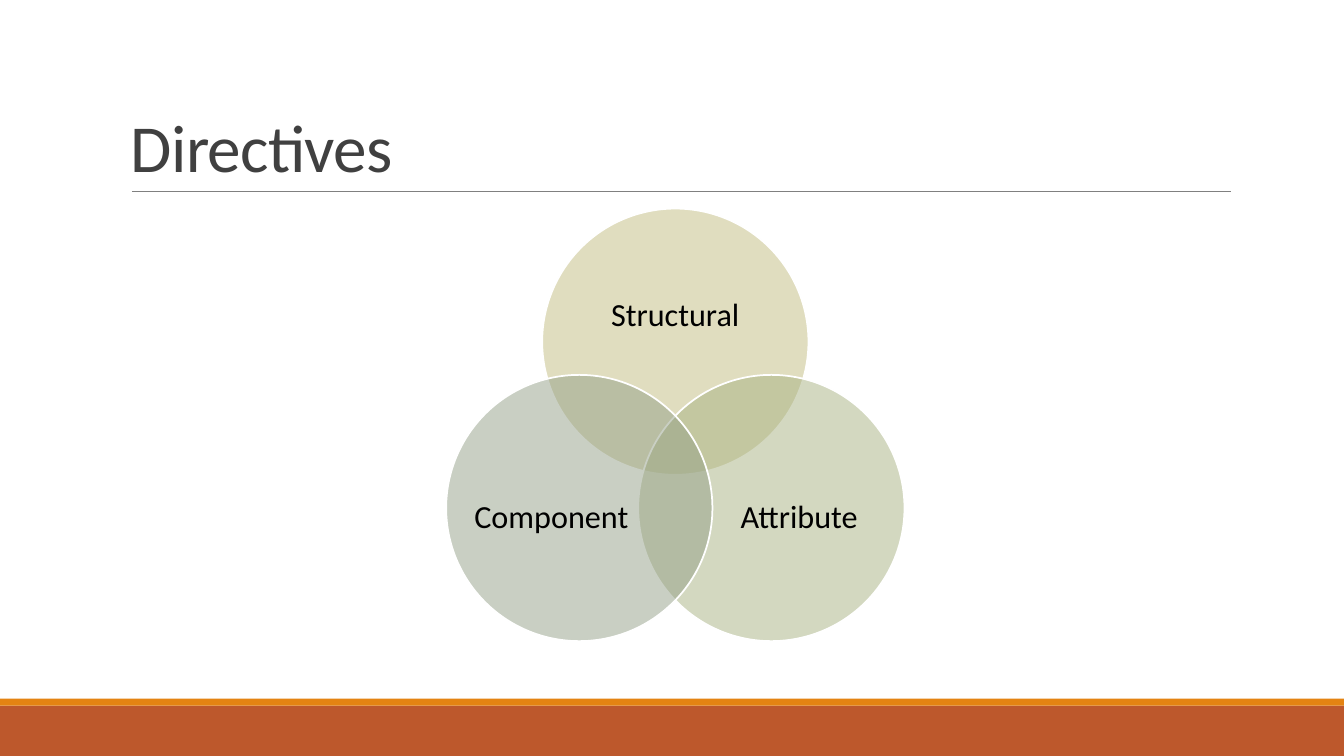
from dataclasses import dataclass
from math import cos, radians, sin

from lxml.etree import SubElement as sub_el
from pptx import Presentation
from pptx.dml.color import RGBColor as Rgb
from pptx.enum.shapes import MSO_CONNECTOR as Conn, MSO_SHAPE as Kind
from pptx.enum.text import MSO_ANCHOR as Anchor, PP_ALIGN as Align
from pptx.oxml.ns import qn
from pptx.shapes.autoshape import Shape
from pptx.slide import Slide
from pptx.util import Pt

WIDE, HIGH = 960, 540
FONT = "Calibri"

# Venn layout: circle centres sit on a ring around the middle
MID_X, MID_Y = 482.4, 323.3
RING = 79.2
SIZE = 190.2


@dataclass
class Box:
    left: float
    top: float
    width: float
    height: float


@dataclass
class Set:
    name: str
    angle: float
    fill: str
    label: Box


@dataclass
class Band:
    box: Box
    fill: str


BANDS = [
    Band(Box(0, 504, WIDE, 36), "BD582C"),
    Band(Box(0, 499, WIDE, 5), "E48312"),
]

SETS = [
    Set("Structural", -90, "C2BC80", Box(412.6, 182.9, 139.6, 85.6)),
    Set("Attribute", 30, "A8B283", Box(514, 317.5, 113.8, 104.4)),
    Set("Component", 150, "94A088", Box(337, 317.5, 113.8, 104.4)),
]


def color(code: str) -> Rgb:
    return Rgb.from_string(code)


def place(box: Box) -> tuple[Pt, Pt, Pt, Pt]:
    return Pt(box.left), Pt(box.top), Pt(box.width), Pt(box.height)


def add_fill(slide: Slide, kind: Kind, box: Box, fill: str) -> Shape:
    shape = slide.shapes.add_shape(kind, *place(box))
    shape.shadow.inherit = False
    shape.fill.solid()
    shape.fill.fore_color.rgb = color(fill)
    shape.line.fill.background()
    return shape


def add_text(slide: Slide, box: Box, text: str, size: float, ink: str,
             anchor: Anchor, align: Align, lead: float) -> Shape:
    shape = slide.shapes.add_textbox(*place(box))
    frame = shape.text_frame
    frame.word_wrap = True
    frame.vertical_anchor = anchor
    frame.text = text
    para = frame.paragraphs[0]
    para.alignment = align
    para.line_spacing = lead
    font = para.runs[0].font
    font.name = FONT
    font.size = Pt(size)
    font.color.rgb = color(ink)
    return shape


def add_title(slide: Slide) -> None:
    title = add_text(slide, Box(86.4, 22.3, 792, 114.5), "Directives", 48,
                     "404040", Anchor.BOTTOM, Align.LEFT, 0.85)
    run = title.text_frame.paragraphs[0].runs[0]
    run.font._element.set("spc", "-50")


def add_rule(slide: Slide) -> None:
    rule = slide.shapes.add_connector(
        Conn.STRAIGHT, Pt(94.3), Pt(136.8), Pt(879), Pt(136.8))
    rule.line.color.rgb = color("808080")
    rule.line.width = Pt(0.5)
    sub_el(rule._element.spPr, qn("a:effectLst"))


def add_set(slide: Slide, item: Set) -> None:
    turn = radians(item.angle)
    left = MID_X + RING * cos(turn) - SIZE / 2
    top = MID_Y + RING * sin(turn) - SIZE / 2
    disc = add_fill(slide, Kind.OVAL, Box(left, top, SIZE, SIZE), item.fill)
    disc.line.color.rgb = color("FFFFFF")
    disc.line.width = Pt(1.25)

    # Half transparent fill
    tint = disc._element.spPr.find(qn("a:solidFill")).find(qn("a:srgbClr"))
    sub_el(tint, qn("a:alpha"), val="50000")

    label = add_text(slide, item.label, item.name, 23, "000000",
                     Anchor.MIDDLE, Align.CENTER, 0.9)
    frame = label.text_frame
    frame.margin_left = frame.margin_right = Pt(0)
    frame.margin_top = frame.margin_bottom = Pt(0)
    frame.paragraphs[0].space_after = Pt(8)


def main() -> None:
    deck = Presentation()
    deck.slide_width, deck.slide_height = Pt(WIDE), Pt(HIGH)
    slide = deck.slides.add_slide(deck.slide_layouts[6])

    # Footer bands
    for band in BANDS:
        add_fill(slide, Kind.RECTANGLE, band.box, band.fill)

    # Heading
    add_rule(slide)
    add_title(slide)

    # Venn diagram
    for item in SETS:
        add_set(slide, item)

    deck.save("out.pptx")


if __name__ == "__main__":
    main()
